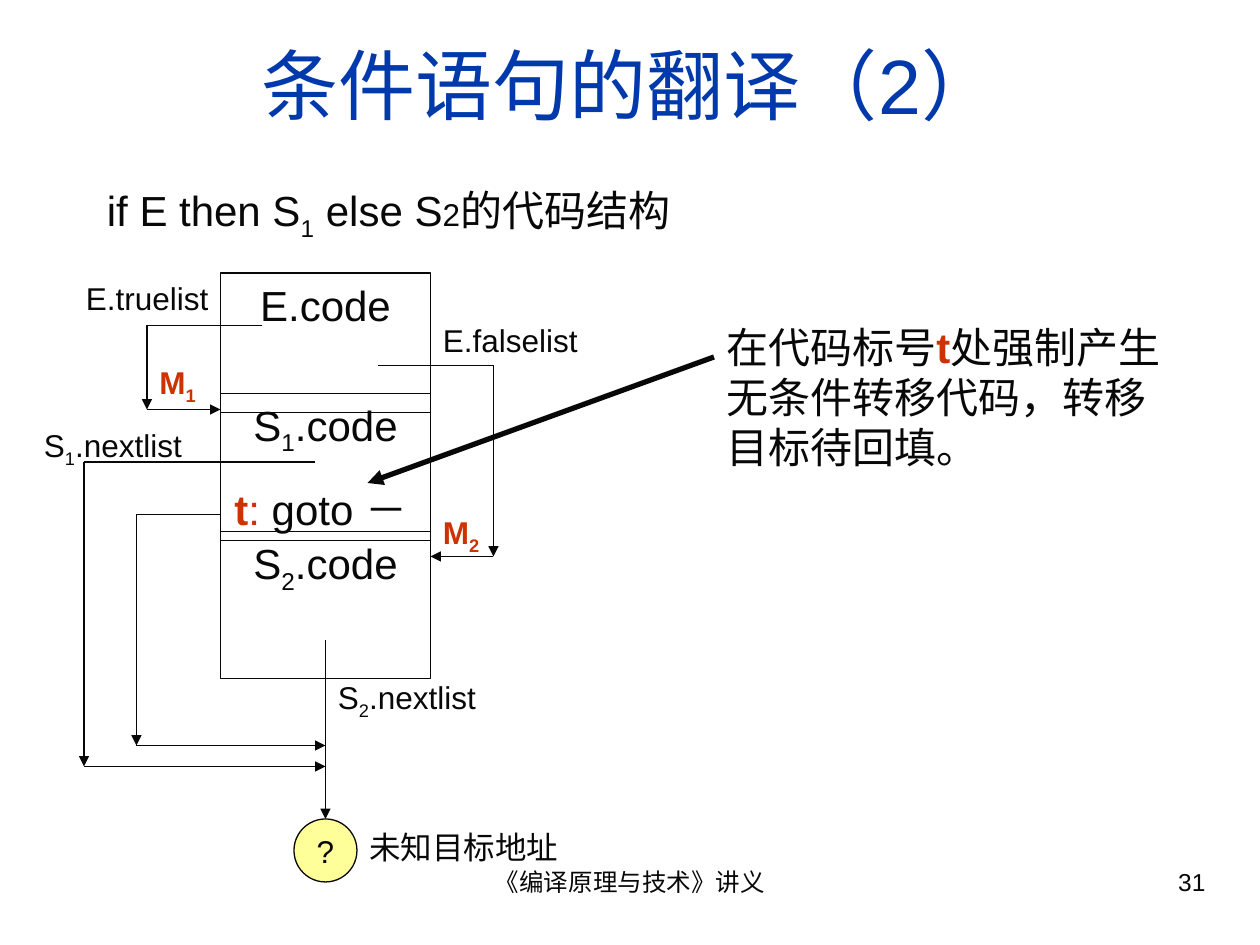
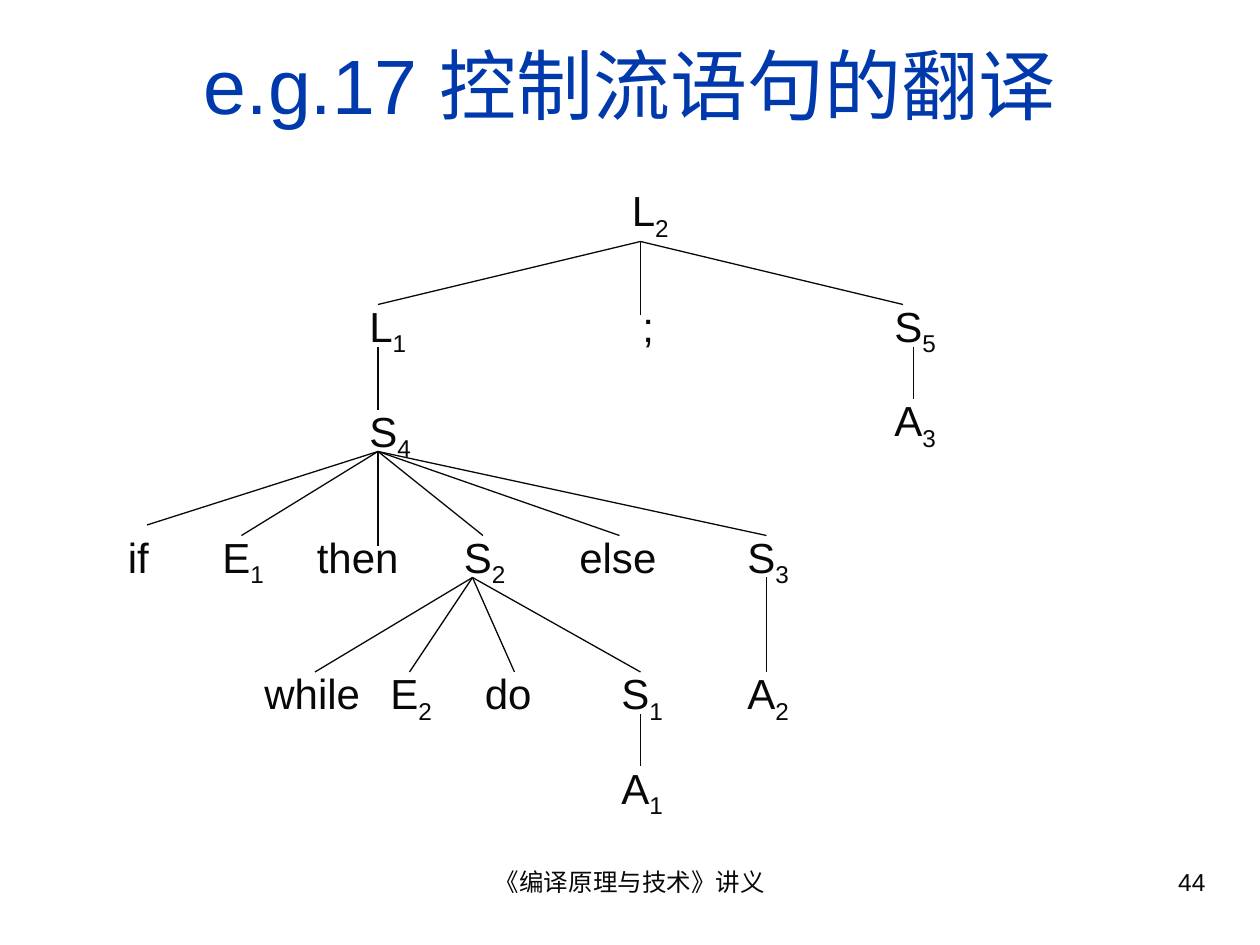
from itertools import pairwise

from lxml import etree
from pptx import Presentation
from pptx.dml.color import RGBColor
from pptx.enum.shapes import MSO_CONNECTOR, MSO_SHAPE
from pptx.enum.text import MSO_ANCHOR, MSO_AUTO_SIZE, PP_ALIGN
from pptx.oxml.ns import qn
from pptx.util import Pt

STRAIGHT = MSO_CONNECTOR.STRAIGHT
RECTANGLE, OVAL = MSO_SHAPE.RECTANGLE, MSO_SHAPE.OVAL
TOP, MIDDLE = MSO_ANCHOR.TOP, MSO_ANCHOR.MIDDLE
LEFT, CENTER, RIGHT = PP_ALIGN.LEFT, PP_ALIGN.CENTER, PP_ALIGN.RIGHT
NO_AUTOFIT = MSO_AUTO_SIZE.NONE

COLORS = {"ink": "080808", "title": "0039AC", "accent": "CC3300", "target": "FFFF99"}
FONT = "Arial"
FOOTER = "《编译原理与技术》讲义"
TITLE_ONLY = 5
UNIT = 6  # points per grid step, a twelfth of an inch
BODY, SMALL = 24, 18


def grid(steps):
    return Pt(round(steps * UNIT, 2))


def color(name):
    return RGBColor.from_string(COLORS[name])


# Text

def add_span(para, text, size, tint="ink", bold=False, lowered=False):
    span = para.add_run()
    span.text = text
    span.font.name = FONT
    span.font.size = Pt(size)
    span.font.bold = bold
    span.font.color.rgb = color(tint)
    if lowered:
        span.font._element.set("baseline", "-25000")


def add_marked_text(para, text, size, tint="ink", bold=False):
    """Add text in which an underscore lowers the next character."""
    first, *rest = text.split("_")
    if first:
        add_span(para, first, size, tint, bold)
    for part in rest:
        add_span(para, part[0], size, tint, bold, lowered=True)
        if part[1:]:
            add_span(para, part[1:], size, tint, bold)


def fill_frame(frame, paras, size, align=LEFT, anchor=TOP, wrap=True, spaced=True):
    """Each para is a list of tuples: text, then optional size, tint and bold."""
    frame.word_wrap = wrap
    frame.auto_size = NO_AUTOFIT
    frame.vertical_anchor = anchor
    for index, spans in enumerate(paras):
        para = frame.add_paragraph() if index else frame.paragraphs[0]
        para.alignment = align
        para.space_before = Pt(size * 0.625 if spaced else 0)
        for text, *style in spans:
            add_marked_text(para, text, *(style or [size]))


def add_label(slide, left, top, width, spans, size=BODY, lines=1):
    lowered = any("_" in span[0] for span in spans)
    height = lines * size * 1.2 + 7.2 + (4 if lowered else 0)
    box = slide.shapes.add_textbox(grid(left), grid(top), grid(width), Pt(height))
    fill_frame(box.text_frame, [spans], size)


# Shapes and lines

def add_outlined(slide, kind, left, top, width, height, fill=None):
    shape = slide.shapes.add_shape(kind, grid(left), grid(top), grid(width), grid(height))
    shape.shadow.inherit = False
    shape.line.color.rgb = color("ink")
    shape.line.width = Pt(0.75)
    if fill:
        shape.fill.solid()
        shape.fill.fore_color.rgb = color(fill)
    else:
        shape.fill.background()
    return shape


def add_line(slide, start, end, arrow=False, width=0.75):
    points = [grid(value) for value in (*start, *end)]
    line = slide.shapes.add_connector(STRAIGHT, *points)
    line.line.color.rgb = color("ink")
    line.line.width = Pt(width)
    if arrow:
        outline = line.line._get_or_add_ln()
        etree.SubElement(outline, qn("a:tailEnd"), type="triangle")
    etree.SubElement(line._element.spPr, qn("a:effectLst"))


def add_route(slide, points):
    """Draw a bent path; every leg after the first ends in an arrow."""
    for index, (start, end) in enumerate(pairwise(points)):
        add_line(slide, start, end, arrow=index > 0)


# Slides

def add_page(deck, title, number):
    slide = deck.slides.add_slide(deck.slide_layouts[TITLE_ONLY])
    heading = slide.shapes.title
    heading.left, heading.top = grid(4), grid(3)
    heading.width, heading.height = grid(112), grid(10)
    fill_frame(heading.text_frame, [[(title, 44, "title")]], 44, CENTER, MIDDLE, spaced=False)
    for left, width, text, align in ((41, 38, FOOTER, CENTER), (86, 30, number, RIGHT)):
        box = slide.shapes.add_textbox(grid(left), grid(82), grid(width), grid(6.2))
        fill_frame(box.text_frame, [[(text,)]], 14, align, spaced=False)
    return slide


def build_code_layout(deck):
    slide = add_page(deck, "条件语句的翻译（2）", "31")
    add_label(slide, 9, 17, 58, [("if E then S_1 else S",), ("2", SMALL), ("的代码结构",)])

    # Stacked code blocks
    goto = [("t", BODY, "accent", True), (": ", BODY, "accent"), ("goto － ",)]
    blocks = (
        (26, 13.3, [[("E.code",)]]),
        (37.45, 14, [[("S_1.code",)], goto]),
        (50.6, 14, [[("S_2.code",)]]),
    )
    for top, height, paras in blocks:
        block = add_outlined(slide, RECTANGLE, 21, top, 20, height)
        fill_frame(block.text_frame, paras, BODY, CENTER)

    # Jumps between blocks
    routes = (
        [(25, 31), (14, 31), (14, 39), (21, 39)],
        [(36, 34.8), (47, 34.8), (47, 53), (41, 53)],
        [(21, 49), (13, 49), (13, 71), (31, 71)],
        [(30, 44), (8, 44), (8, 73), (31, 73)],
    )
    for points in routes:
        add_route(slide, points)
    add_line(slide, (31, 61), (31, 78), arrow=True)

    # Unknown target
    target = add_outlined(slide, OVAL, 28, 78, 6, 6, "target")
    fill_frame(target.text_frame, [[("?",)]], SMALL, CENTER, MIDDLE, wrap=False, spaced=False)

    # List names and markers
    names = (
        (7, 26, 18, "E.truelist"),
        (41, 30, 18, "E.falselist"),
        (31, 64, 17, "S_2.nextlist"),
        (3, 40, 17, "S_1.nextlist"),
        (34, 78.25, 30, "未知目标地址"),
    )
    for left, top, width, text in names:
        add_label(slide, left, top, width, [(text,)], SMALL)
    for left, top, text in ((14, 34, "M_1"), (41, 48.25, "M_2")):
        add_label(slide, left, top, 8, [(text, SMALL, "accent", True)], SMALL)

    # Remark on the forced jump
    add_line(slide, (68, 34), (35, 46), arrow=True, width=3)
    remark = [
        ("在代码标号",),
        ("t", BODY, "accent", True),
        ("处强制产生无条件转移代码，转移目标待回填。",),
    ]
    add_label(slide, 68, 30, 44, remark, lines=3)


def build_parse_tree(deck):
    slide = add_page(deck, "e.g.17 控制流语句的翻译", "44")

    # Symbols by row: top, then left edge and text
    rows = (
        (17, [(59, "L_2")]),
        (28, [(34, "L_1"), (60, ";"), (84, "S_5")]),
        (37, [(84, "A_3")]),
        (38, [(34, "S_4")]),
        (50, [(11, "if"), (20, "E_1"), (29, "then"), (43, "S_2"), (54, "else"), (70, "S_3")]),
        (63, [(24, "while"), (36, "E_2"), (45, "do"), (58, "S_1"), (70, "A_2")]),
        (72, [(58, "A_1")]),
    )
    for top, symbols in rows:
        for left, text in symbols:
            add_label(slide, left, top, 13 if text == "while" else 11, [(text,)])

    # Branches: parent point, then child points
    branches = (
        ((61, 23), [(36, 29), (61, 30), (86, 29)]),
        ((36, 33), [(36, 39)]),
        ((87, 33), [(87, 38)]),
        ((36, 43), [(14, 50), (23, 51), (36, 52), (46, 51), (59, 51), (73, 51)]),
        ((45, 55), [(30, 64), (39, 64), (49, 64), (61, 64)]),
        ((73, 55), [(73, 64)]),
        ((61, 68), [(61, 73)]),
    )
    for parent, children in branches:
        for child in children:
            add_line(slide, parent, child)


def main():
    deck = Presentation()
    deck.slide_width, deck.slide_height = Pt(720), Pt(540)
    build_code_layout(deck)
    build_parse_tree(deck)
    deck.save("out.pptx")


if __name__ == "__main__":
    main()
